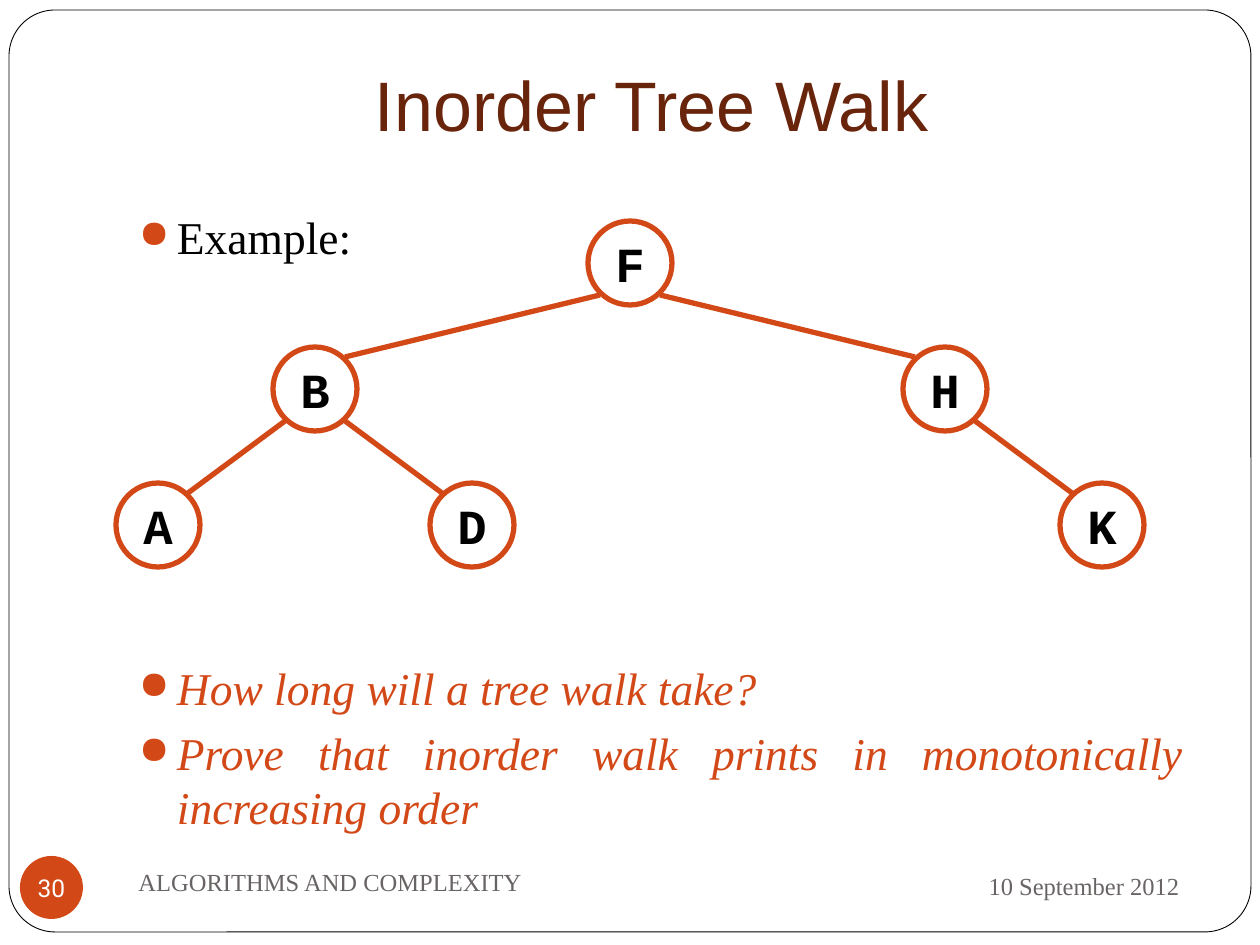
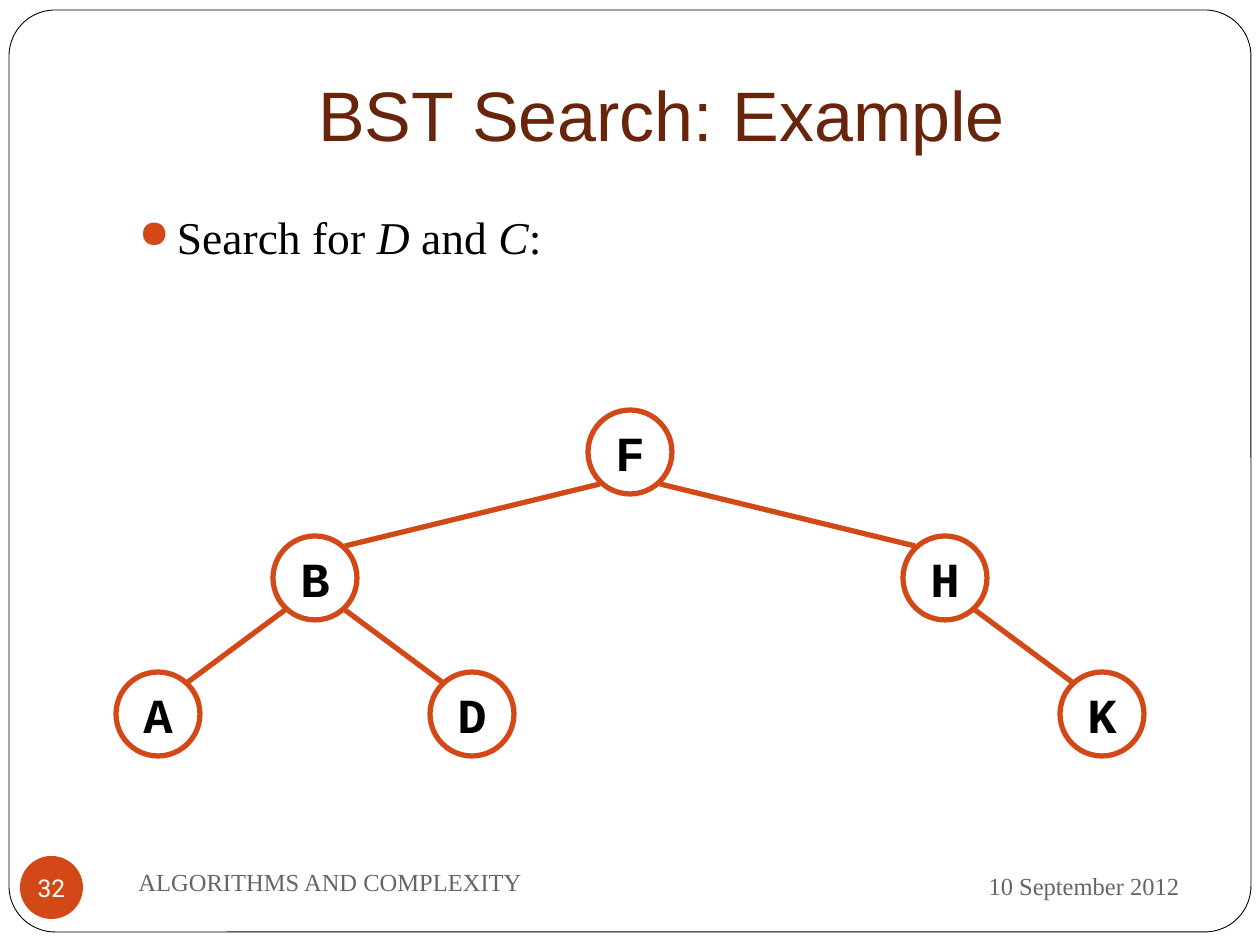
from dataclasses import dataclass
from typing import NamedTuple

from lxml.etree import SubElement
from pptx import Presentation
from pptx.dml.color import RGBColor
from pptx.enum.shapes import MSO_CONNECTOR, MSO_SHAPE
from pptx.enum.text import MSO_ANCHOR, PP_ALIGN
from pptx.oxml.ns import qn
from pptx.util import Emu, Pt

EMU_PER_PX = 914400 / 126


@dataclass(frozen=True)
class Theme:
    accent: str = "D34817"
    title: str = "69240C"
    text: str = "000000"
    muted: str = "696464"
    paper: str = "FFFFFF"
    title_font: str = "Arial"
    body_font: str = "Times New Roman"
    node_font: str = "Courier New"
    number_font: str = "Roboto"
    title_size: int = 40
    body_size: int = 26
    body_leading: int = 31
    node_size: int = 28
    footer_size: int = 14
    frame_line: float = 0.5
    tree_line: float = 3


class Box(NamedTuple):
    left: int
    top: int
    width: int
    height: int


class Style(NamedTuple):
    font: str
    size: int
    color: str
    bold: bool = False


class Span(NamedTuple):
    text: str
    italic: bool = False


class Bullet(NamedTuple):
    spans: list[Span]
    color: str
    align: PP_ALIGN = PP_ALIGN.LEFT
    space_before: int = 0


class Node(NamedTuple):
    key: str
    dx: int
    dy: int
    parent: str = ""


class Page(NamedTuple):
    number: int
    title: str
    title_box: Box
    bullets: list[Bullet]
    tree_top: int


THEME = Theme()
TITLE = Style(THEME.title_font, THEME.title_size, THEME.title)
NODE = Style(THEME.node_font, THEME.node_size, THEME.text, True)
FOOTER = Style(THEME.body_font, THEME.footer_size, THEME.muted)
NUMBER = Style(THEME.number_font, THEME.footer_size, THEME.paper)

FRAME = Box(9, 10, 1242, 922)
BODY = Box(126, 199, 1071, 630)
DATE = Box(850, 853, 342, 66)
COURSE = Box(126, 850, 546, 63)
BADGE = Box(20, 856, 63, 63)

ROOT_X = 630
NODE_PX = 84
EDGE_DX, EDGE_DY = 30, 32
TREE = [
    Node("F", 0, 0),
    Node("B", -315, 126, "F"),
    Node("H", 315, 126, "F"),
    Node("K", 472, 262, "H"),
    Node("D", -158, 262, "B"),
    Node("A", -472, 262, "B"),
]

PAGES = [
    Page(30, "Inorder Tree Walk", Box(116, 0, 1071, 158), [
        Bullet([Span("Example:")], THEME.text),
        Bullet([Span("How long will a tree walk take?", True)],
               THEME.accent, PP_ALIGN.JUSTIFY, 227),
        Bullet([Span("Prove that inorder walk prints in monotonically "
                     "increasing order", True)],
               THEME.accent, PP_ALIGN.JUSTIFY, 6),
    ], 221),
    Page(32, "BST Search: Example", Box(126, 10, 1071, 158), [
        Bullet([Span("Search for "), Span("D", True), Span(" and "),
                Span("C", True), Span(":")], THEME.text),
    ], 410),
]


def px(value: float) -> Emu:
    return Emu(round(value * EMU_PER_PX))


def place(box: Box) -> list[Emu]:
    return [px(v) for v in box]


def add_run(p, text: str, style: Style, italic: bool = False) -> None:
    r = p.add_run()
    r.text = text
    r.font.name = style.font
    r.font.size = Pt(style.size)
    r.font.bold = style.bold
    r.font.italic = italic
    r.font.color.rgb = RGBColor.from_string(style.color)


def set_insets(tf, left: int, top: int, right: int, bottom: int) -> None:
    tf.margin_left, tf.margin_top = px(left), px(top)
    tf.margin_right, tf.margin_bottom = px(right), px(bottom)


def add_label(slide, box: Box, text: str, style: Style, align: PP_ALIGN,
              anchor: MSO_ANCHOR = MSO_ANCHOR.MIDDLE):
    tf = slide.shapes.add_textbox(*place(box)).text_frame
    tf.word_wrap = True
    tf.vertical_anchor = anchor
    p = tf.paragraphs[0]
    p.alignment = align
    add_run(p, text, style)
    return tf


def add_outline(shapes, kind: MSO_SHAPE, box: Box, fill: str,
                line: str = "", width: float = 0):
    sp = shapes.add_shape(kind, *place(box))
    sp.shadow.inherit = False
    sp.fill.solid()
    sp.fill.fore_color.rgb = RGBColor.from_string(fill)
    if line:
        sp.line.color.rgb = RGBColor.from_string(line)
        sp.line.width = Pt(width)
    else:
        sp.line.fill.background()
    return sp


def add_caption(sp, text: str, style: Style) -> None:
    tf = sp.text_frame
    tf.word_wrap = False
    tf.vertical_anchor = MSO_ANCHOR.MIDDLE
    set_insets(tf, 0, 0, 0, 0)
    p = tf.paragraphs[0]
    p.alignment = PP_ALIGN.CENTER
    add_run(p, text, style)


def set_bullet(p) -> None:
    pPr = p._p.get_or_add_pPr()
    pPr.set("marL", str(px(38)))
    pPr.set("indent", str(-px(38)))
    color = SubElement(pPr, qn("a:buClr"))
    SubElement(color, qn("a:srgbClr"), val=THEME.accent)
    SubElement(pPr, qn("a:buSzPct"), val="85000")
    SubElement(pPr, qn("a:buChar"), char="●")


def add_body(slide, bullets: list[Bullet]) -> None:
    tf = slide.shapes.add_textbox(*place(BODY)).text_frame
    tf.word_wrap = True
    set_insets(tf, 13, 10, 13, 6)
    for i, bullet in enumerate(bullets):
        p = tf.add_paragraph() if i else tf.paragraphs[0]
        set_bullet(p)
        p.alignment = bullet.align
        p.line_spacing = Pt(THEME.body_leading)
        p.space_before = Pt(bullet.space_before)
        style = Style(THEME.body_font, THEME.body_size, bullet.color)
        for span in bullet.spans:
            add_run(p, span.text, style, span.italic)


def add_edge(shapes, parent: Node, child: Node, root_y: int) -> None:
    side = 1 if child.dx > parent.dx else -1
    line = shapes.add_connector(
        MSO_CONNECTOR.STRAIGHT,
        px(ROOT_X + parent.dx + side * EDGE_DX),
        px(root_y + parent.dy + EDGE_DY),
        px(ROOT_X + child.dx - side * EDGE_DX),
        px(root_y + child.dy - EDGE_DY))
    line.line.color.rgb = RGBColor.from_string(THEME.accent)
    line.line.width = Pt(THEME.tree_line)
    SubElement(line._element.spPr, qn("a:effectLst"))


def add_tree(slide, top: int) -> None:
    shapes = slide.shapes.add_group_shape().shapes
    for node in TREE:
        box = Box(ROOT_X + node.dx - NODE_PX // 2, top + node.dy,
                  NODE_PX, NODE_PX)
        sp = add_outline(shapes, MSO_SHAPE.OVAL, box, THEME.paper,
                         THEME.accent, THEME.tree_line)
        add_caption(sp, node.key, NODE)
    by_key = {node.key: node for node in TREE}
    for node in TREE:
        if node.parent:
            add_edge(shapes, by_key[node.parent], node, top + NODE_PX // 2)


def add_page(prs, page: Page) -> None:
    slide = prs.slides.add_slide(prs.slide_layouts[6])
    frame = add_outline(slide.shapes, MSO_SHAPE.ROUNDED_RECTANGLE, FRAME,
                        THEME.paper, THEME.text, THEME.frame_line)
    frame.adjustments[0] = 0.05
    tf = add_label(slide, page.title_box, page.title, TITLE,
                   PP_ALIGN.CENTER, MSO_ANCHOR.BOTTOM)
    set_insets(tf, 13, 6, 13, 13)
    add_body(slide, page.bullets)
    add_tree(slide, page.tree_top)
    add_label(slide, DATE, "10 September 2012", FOOTER, PP_ALIGN.RIGHT)
    add_label(slide, COURSE, "ALGORITHMS AND COMPLEXITY", FOOTER,
              PP_ALIGN.LEFT)
    badge = add_outline(slide.shapes, MSO_SHAPE.OVAL, BADGE, THEME.accent)
    add_caption(badge, str(page.number), NUMBER)


def main() -> None:
    prs = Presentation()
    prs.slide_width, prs.slide_height = px(1260), px(945)
    for page in PAGES:
        add_page(prs, page)
    prs.save("out.pptx")


if __name__ == "__main__":
    main()
